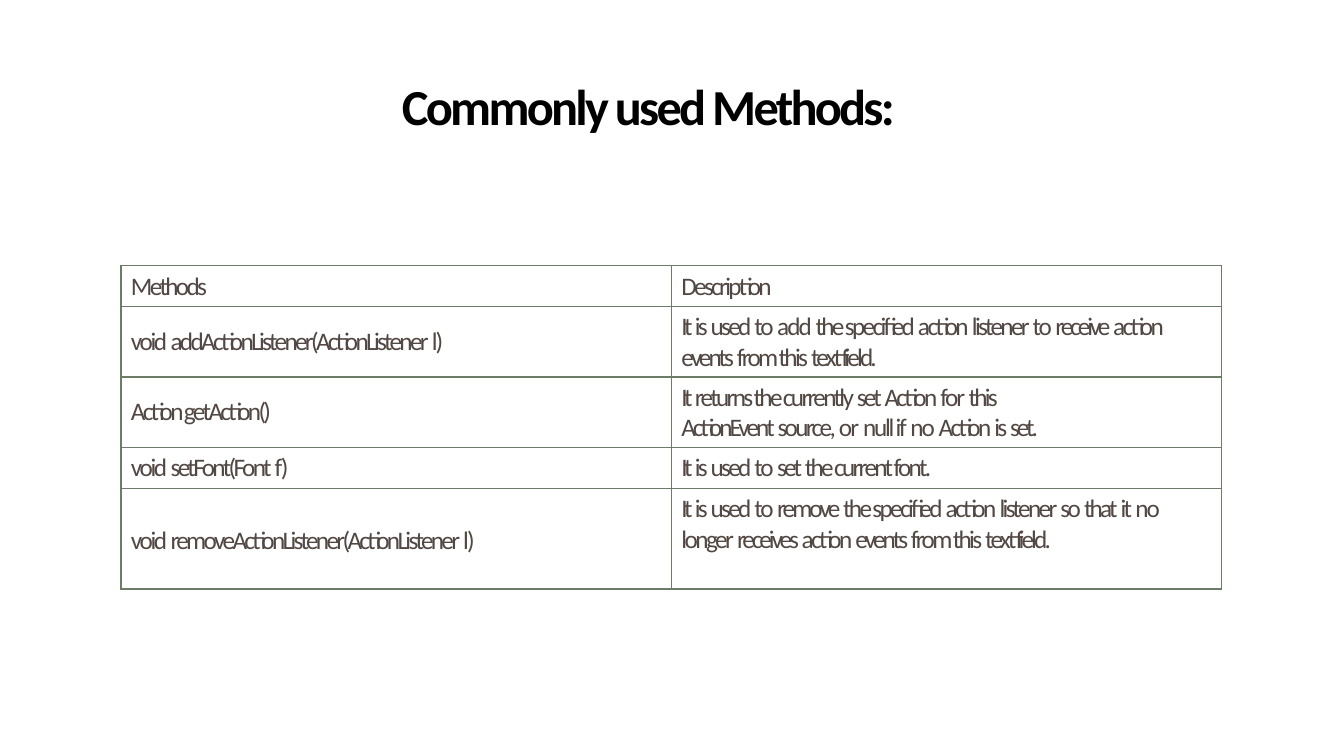
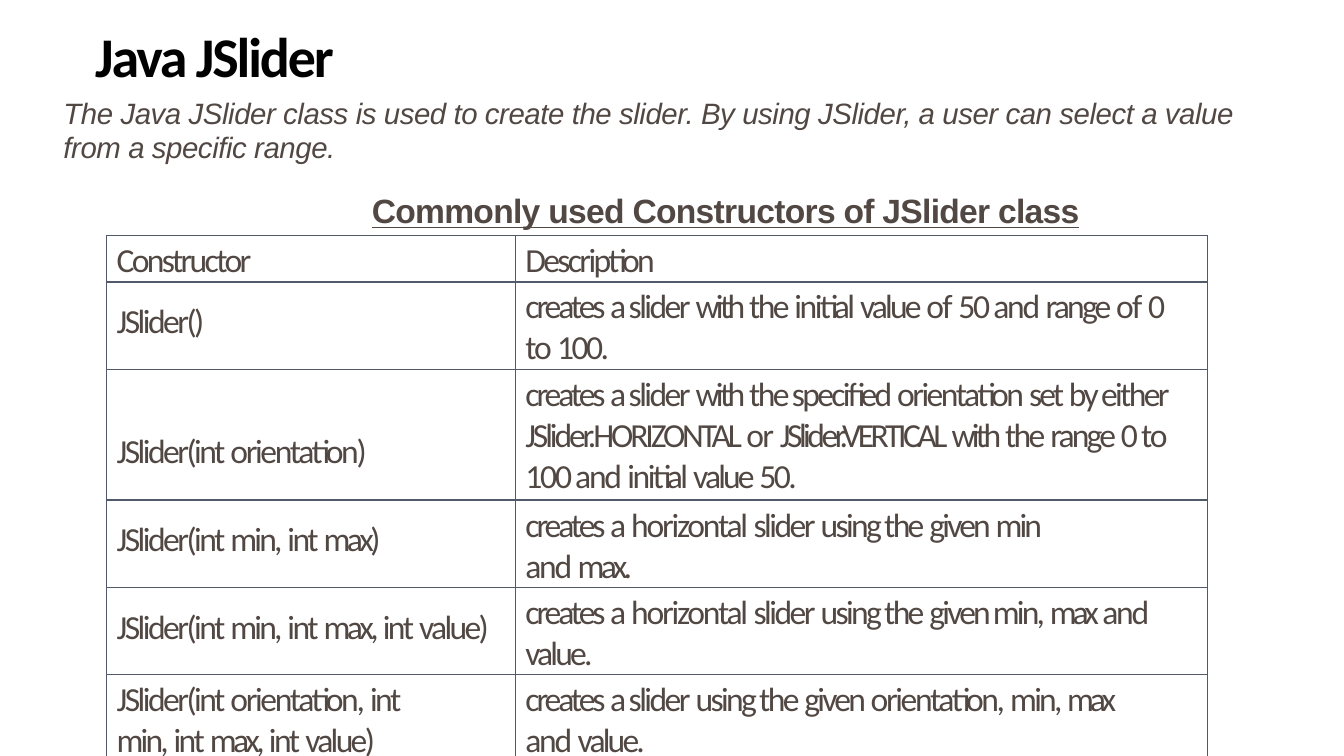
import dataclasses
import itertools

import pptx
import pptx.dml.color
import pptx.enum.text
import pptx.oxml
import pptx.oxml.ns
import pptx.util

Cm = pptx.util.Cm
Pt = pptx.util.Pt


@dataclasses.dataclass(frozen=True)
class Theme:
    """Colours, fonts and type sizes shared by the slides."""
    title_color: str = "000000"
    text_color: str = "514743"
    green_border: str = "6C7C66"
    blue_border: str = "525A6A"
    main_font: str = "Calibri"
    intro_font: str = "Arial"
    title_size: int = 36
    large_title_size: int = 40
    intro_size: int = 21
    heading_size: int = 24
    small_table_size: int = 18
    large_table_size: int = 24
    table_tracking: float = -1.9
    border_width: float = 1


@dataclasses.dataclass(frozen=True)
class Box:
    """A region of a slide, in centimetres."""
    left: float
    top: float
    width: float
    height: float

    def place(self, shape):
        """Move and size a shape to this region."""
        shape.left, shape.top = Cm(self.left), Cm(self.top)
        shape.width, shape.height = Cm(self.width), Cm(self.height)


THEME = Theme()
WORDS_BY_TRACKING = {
    -2.9: "max",
    -2.7: "max.",
    -2.6: "with",
    -2.5: "It JSlider.VERTICAL max, max)",
    -2.2: "creates receive receives JSlider.HORIZONTAL set.",
    -2.1: "events set remove ActionEvent min",
    -2.0: "is value value. range given min, textfield. that",
    -1.8: "a slider initial action orientation int JSlider(int JSlider() 100. so it longer",
    -1.7: "orientation, orientation) void",
    -1.6: "to and 50 0 100 horizontal for null if",
    -1.4: "add no l) f)",
    -1.3: "of or",
}
WORD_TRACKING = {word: tracking for tracking, words in WORDS_BY_TRACKING.items()
                 for word in words.split()}

METHOD_ROWS = [
    (1.02, 0.13, "Methods", "Description"),
    (1.78, 0.5, "void addActionListener(ActionListener l)",
     "It is used to add the specified action listener to receive action events from this textfield."),
    (1.78, 0.5, "Action getAction()",
     "It returns the currently set Action for this\nActionEvent source, or null if no Action is set."),
    (1.02, 0.13, "void setFont(Font f)", "It is used to set the current font."),
    (2.54, 0.95, "void removeActionListener(ActionListener l)",
     "It is used to remove the specified action listener so that it no longer receives action "
     "events from this textfield."),
]
CONSTRUCTOR_ROWS = [
    (1.12, 0.13, "Constructor", "Description"),
    (2.15, 0.5, "JSlider()", "creates a slider with the initial value of 50 and range of 0 to 100."),
    (3.3, 1.57, "JSlider(int orientation)",
     "creates a slider with the specified orientation set by either JSlider.HORIZONTAL or "
     "JSlider.VERTICAL with the range 0 to 100 and initial value 50."),
    (2.15, 0.5, "JSlider(int min, int max)",
     "creates a horizontal slider using the given min\nand max."),
    (2.15, 0.5, "JSlider(int min, int max, int value)",
     "creates a horizontal slider using the given min, max and value."),
    (2.15, 0.13, "JSlider(int orientation, int\nmin, int max, int value)",
     "creates a slider using the given orientation, min, max\nand value."),
]


def write_text(paragraph, text, *, size, color=THEME.text_color, font=THEME.main_font,
               bold=False, italic=False, underline=False, tracking=0, word_tracking=None,
               indent=0, space_before=0, line_spacing=None):
    """Write formatted text, with one run for each change of letter spacing."""
    properties = paragraph._p.get_or_add_pPr()
    properties.set("marL", str(Cm(indent)))
    properties.set("indent", "0")
    paragraph.alignment = pptx.enum.text.PP_ALIGN.LEFT
    paragraph.space_before = Pt(space_before)
    if line_spacing:
        paragraph.line_spacing = Pt(line_spacing)
    spacings = word_tracking or {}
    groups = itertools.groupby(text.split(), lambda word: spacings.get(word, tracking))
    pieces = [(spacing, " ".join(words)) for spacing, words in groups]
    for index, (spacing, piece) in enumerate(pieces):
        run = paragraph.add_run()
        run.text = piece if index == len(pieces) - 1 else piece + " "
        run.font.name, run.font.size = font, Pt(size)
        run.font.bold, run.font.italic, run.font.underline = bold, italic, underline
        run.font.color.rgb = pptx.dml.color.RGBColor.from_string(color)
        run._r.get_or_add_rPr().set("spc", str(round(spacing * 100)))


def set_margins(frame, left=0.0, top=0.0, right=0.0):
    """Set the inner margins of a text frame or a table cell."""
    frame.margin_left, frame.margin_top = Cm(left), Cm(top)
    frame.margin_right, frame.margin_bottom = Cm(right), 0


def add_title(slide, box, text, size, tracking):
    """Place and format the slide title."""
    title = slide.shapes.title
    box.place(title)
    frame = title.text_frame
    set_margins(frame, top=0.05)
    frame.auto_size = pptx.enum.text.MSO_AUTO_SIZE.NONE
    frame.vertical_anchor = pptx.enum.text.MSO_ANCHOR.MIDDLE
    write_text(frame.paragraphs[0], text, size=size, color=THEME.title_color, bold=True,
               tracking=tracking, indent=0.03)


def add_introduction(slide, box, text, heading):
    """Fill the body placeholder with a definition and a table heading."""
    body = slide.placeholders[1]
    box.place(body)
    frame = body.text_frame
    set_margins(frame, top=0.05)
    frame.auto_size = pptx.enum.text.MSO_AUTO_SIZE.NONE
    paragraphs = [frame.paragraphs[0], frame.add_paragraph()]
    for paragraph in paragraphs:
        paragraph._p.get_or_add_pPr().append(pptx.oxml.parse_xml(
            f"<a:buNone {pptx.oxml.ns.nsdecls('a')}/>"))
    write_text(paragraphs[0], text, size=THEME.intro_size, font=THEME.intro_font,
               italic=True, tracking=-0.3, line_spacing=24.6)
    write_text(paragraphs[1], heading, size=THEME.heading_size, font=THEME.intro_font,
               bold=True, underline=True, tracking=-0.5, indent=7.77, space_before=18.4)


def draw_borders(cell, color):
    """Draw a thin line on every side of a cell."""
    properties = cell._tc.get_or_add_tcPr()
    for side in "LRTB":
        properties.append(pptx.oxml.parse_xml(
            f"<a:ln{side} {pptx.oxml.ns.nsdecls('a')} w=\"{Pt(THEME.border_width)}\">"
            f"<a:solidFill><a:srgbClr val=\"{color}\"/></a:solidFill></a:ln{side}>"))


def fill_cell(cell, text, size, border_color, top, right):
    """Write one table cell, with a paragraph for each line of text."""
    set_margins(cell, left=0.25, top=top, right=right)
    draw_borders(cell, border_color)
    cell.fill.background()
    for index, line in enumerate(text.split("\n")):
        frame = cell.text_frame
        paragraph = frame.add_paragraph() if index else frame.paragraphs[0]
        write_text(paragraph, line, size=size, tracking=THEME.table_tracking,
                   word_tracking=WORD_TRACKING)


def add_reference_table(slide, left, top, column_widths, rows, size, border_color):
    """Add a two-column table of signatures and descriptions."""
    height = sum(row[0] for row in rows)
    table = slide.shapes.add_table(len(rows), 2, Cm(left), Cm(top),
                                   Cm(sum(column_widths)), Cm(height)).table
    table.first_row = table.horz_banding = False
    for column, width in zip(table.columns, column_widths):
        column.width = Cm(width)
    for index, (row_height, signature_top, signature, description) in enumerate(rows):
        table.rows[index].height = Cm(row_height)
        fill_cell(table.cell(index, 0), signature, size, border_color, signature_top, 0)
        fill_cell(table.cell(index, 1), description, size, border_color, 0.13, 0.6)


def build_methods_slide(presentation):
    """Build the slide that lists the methods."""
    slide = presentation.slides.add_slide(presentation.slide_layouts[5])
    add_title(slide, Box(10.1, 1.83, 13.46, 1.58), "Commonly used Methods:",
              THEME.title_size, -1.95)
    add_reference_table(slide, 3.05, 6.7, (13.87, 13.87), METHOD_ROWS,
                        THEME.small_table_size, THEME.green_border)


def build_slider_slide(presentation):
    """Build the slide that introduces the slider class."""
    slide = presentation.slides.add_slide(presentation.slide_layouts[1])
    add_title(slide, Box(2.37, 0.5, 29.2, 1.75), "Java JSlider", THEME.large_title_size, -1.5)
    add_introduction(
        slide, Box(1.6, 2.36, 30.5, 3.48),
        "The Java JSlider class is used to create the slider. By using JSlider, a user can "
        "select a value from a specific range.",
        "Commonly used Constructors of JSlider class")
    add_reference_table(slide, 2.69, 5.94, (10.3, 17.43), CONSTRUCTOR_ROWS,
                        THEME.large_table_size, THEME.blue_border)


def main():
    """Build and save the presentation."""
    presentation = pptx.Presentation()
    presentation.slide_width, presentation.slide_height = Cm(33.87), Cm(19.05)
    build_methods_slide(presentation)
    build_slider_slide(presentation)
    presentation.save("out.pptx")


if __name__ == "__main__":
    main()
